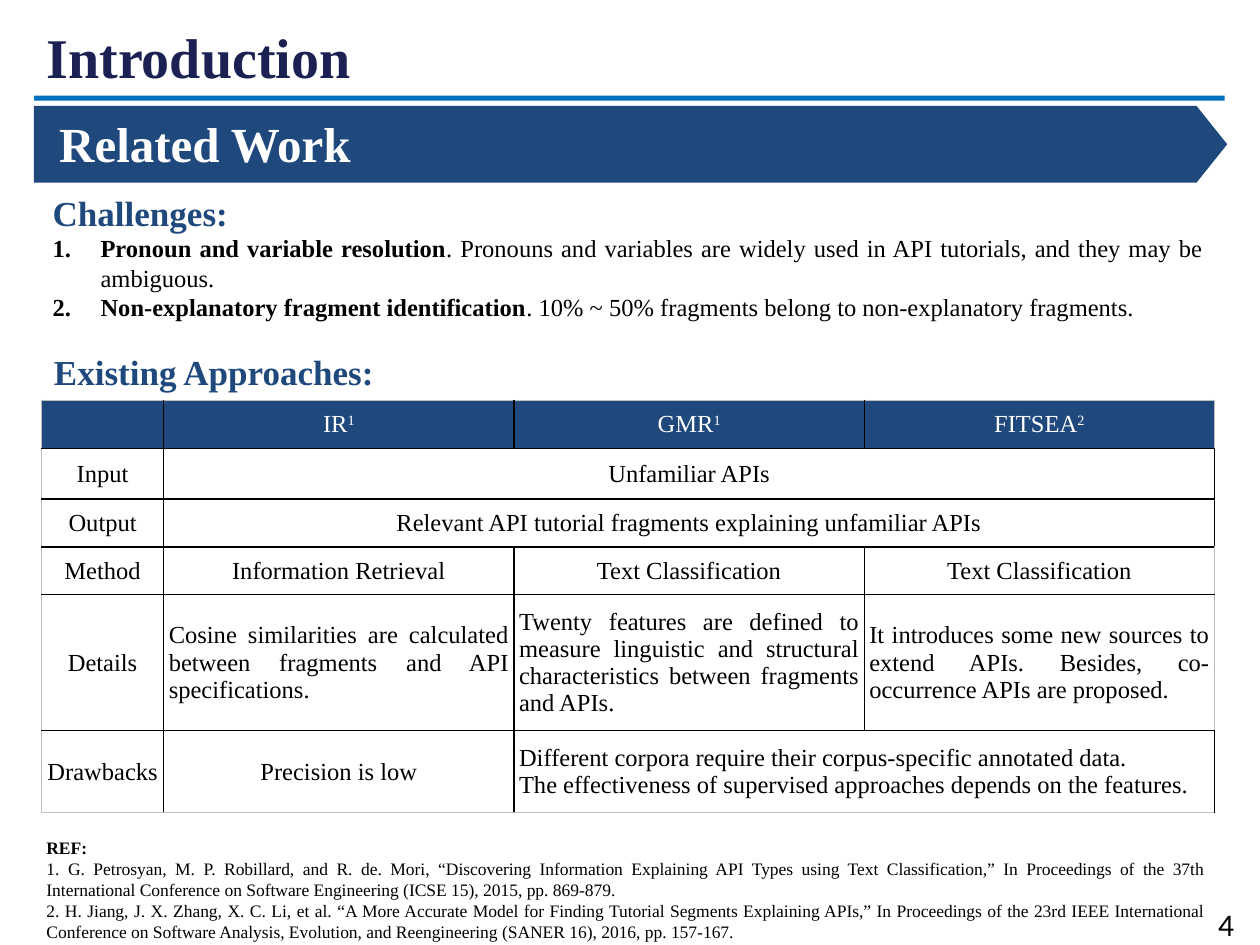
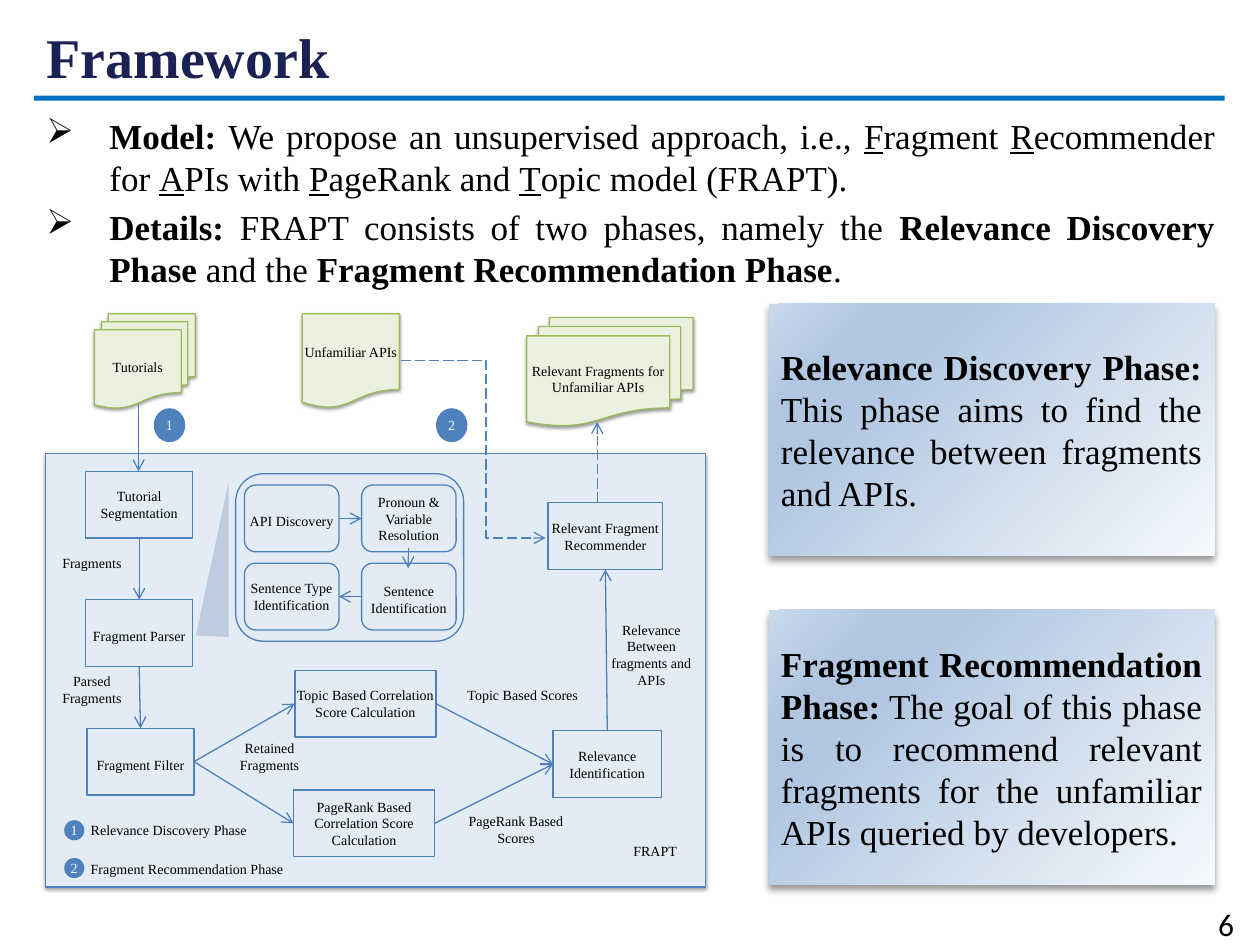
from pptx import Presentation
from pptx.dml.color import RGBColor
from pptx.enum.dml import MSO_LINE
from pptx.enum.shapes import MSO_CONNECTOR, MSO_SHAPE
from pptx.enum.text import MSO_ANCHOR, PP_ALIGN
from pptx.oxml import parse_xml
from pptx.oxml.ns import nsdecls, qn
from pptx.util import Inches, Pt
from lxml import etree

FONT = "Times New Roman"
NAVY, DEEP, RULE = "1B2153", "1F497D", "0070C0"
BLUE, PALE, GREEN, LEAF = "4F81BD", "E3EBF5", "9BBB59", "EBF1DE"
BLACK, WHITE, GREY = "000000", "FFFFFF", "BFBFBF"
LEFT, MID, JUST = PP_ALIGN.LEFT, PP_ALIGN.CENTER, PP_ALIGN.JUSTIFY
RECT, OVAL, ALT = MSO_SHAPE.RECTANGLE, MSO_SHAPE.OVAL, MSO_SHAPE.FLOWCHART_ALTERNATE_PROCESS
DOC, MULTI = MSO_SHAPE.FLOWCHART_DOCUMENT, MSO_SHAPE.FLOWCHART_MULTIDOCUMENT
TOP, WEST, BASE, EAST = range(4)

# Markup: *bold*, _underlined_, ^raised^
CHALLENGES = [
    "*Pronoun and variable resolution*. Pronouns and variables are widely used in API tutorials, and they may be ambiguous.",
    "*Non-explanatory fragment identification*. 10% ~ 50% fragments belong to non-explanatory fragments.",
]
COLS = [0.97, 2.78, 2.78, 2.78]
ROWS = [0.38, 0.4, 0.38, 0.38, 1.08, 0.65]
GRID = [
    ["", "IR^1^", "GMR^1^", "FITSEA^2^"],
    ["Input", "Unfamiliar APIs"],
    ["Output", "Relevant API tutorial fragments explaining unfamiliar APIs"],
    ["Method", "Information Retrieval", "Text Classification", "Text Classification"],
    ["Details",
     "Cosine similarities are calculated between fragments and API specifications.",
     "Twenty features are defined to measure linguistic and structural characteristics between fragments and APIs.",
     "It introduces some new sources to extend APIs. Besides, co-occurrence APIs are proposed."],
    ["Drawbacks", "Precision is low",
     "Different corpora require their corpus-specific annotated data.\n"
     "The effectiveness of supervised approaches depends on the features."],
]
REFS = [
    "1. G. Petrosyan, M. P. Robillard, and R. de. Mori, “Discovering Information Explaining API Types using Text Classification,” In Proceedings of the 37th International Conference on Software Engineering (ICSE 15), 2015, pp. 869-879.",
    "2. H. Jiang, J. X. Zhang, X. C. Li, et al. “A More Accurate Model for Finding Tutorial Segments Explaining APIs,” In Proceedings of the 23rd IEEE International Conference on Software Analysis, Evolution, and Reengineering (SANER 16), 2016, pp. 157-167.",
]
POINTS = [
    "*Model: *We propose an unsupervised approach, i.e., _F_ragment _R_ecommender for _A_PIs with _P_ageRank and _T_opic model (FRAPT).",
    "*Details: *FRAPT consists of two phases, namely the *Relevance Discovery Phase* and the *Fragment Recommendation Phase*.",
]
CARDS = [
    ((6.1, 2.41, 3.54, 2), "*Relevance Discovery Phase:* This phase aims to find the relevance between fragments and APIs."),
    ((6.1, 4.84, 3.54, 2.18), "*Fragment Recommendation Phase:* The goal of this phase is to recommend relevant fragments for the unfamiliar APIs queried by developers."),
]
DOCS = {
    "Tutorials": (MULTI, (0.75, 2.49, 0.8, 0.75)),
    "Unfamiliar APIs": (DOC, (2.4, 2.49, 0.77, 0.75)),
    "Relevant Fragments for Unfamiliar APIs": (MULTI, (4.18, 2.52, 1.32, 0.86)),
}
HIGH = 0.53
STEPS = {
    "Tutorial Segmentation": (RECT, 0.68, 3.74, 0.85, 0),
    "Fragment Parser": (RECT, 0.68, 4.76, 0.85, 0.04),
    "Fragment Filter": (RECT, 0.69, 5.78, 0.85, 0.05),
    "Topic Based Correlation Score Calculation": (RECT, 2.34, 5.32, 1.12, 0),
    "PageRank Based Correlation Score Calculation": (RECT, 2.33, 6.27, 1.12, 0),
    "Relevance Identification": (RECT, 4.39, 5.8, 0.86, 0),
    "Relevant Fragment Recommender": (RECT, 4.35, 3.99, 0.91, 0),
    "API Discovery": (ALT, 1.94, 3.85, 0.75, 0.04),
    "Pronoun & Variable Resolution": (ALT, 2.87, 3.85, 0.75, 0),
    "Sentence Identification": (ALT, 2.87, 4.47, 0.75, 0.04),
    "Sentence Type Identification": (ALT, 1.94, 4.47, 0.75, 0),
}
LINKS = [
    ("Tutorial Segmentation", BASE, "Fragment Parser", TOP),
    ("Fragment Parser", BASE, "Fragment Filter", TOP),
    ("Fragment Filter", EAST, "Topic Based Correlation Score Calculation", WEST),
    ("Fragment Filter", EAST, "PageRank Based Correlation Score Calculation", WEST),
    ("Topic Based Correlation Score Calculation", EAST, "Relevance Identification", WEST),
    ("PageRank Based Correlation Score Calculation", EAST, "Relevance Identification", WEST),
    ("Relevance Identification", TOP, "Relevant Fragment Recommender", BASE),
    ("API Discovery", EAST, "Pronoun & Variable Resolution", WEST),
    ("Sentence Identification", WEST, "Sentence Type Identification", EAST),
]
LABELS = [
    ("Relevance Between fragments and APIs", (4.82, 4.93, 0.7, 0.75), MID),
    ("Topic Based Scores", (3.63, 5.45, 1.04, 0.38), MID),
    ("PageRank Based Scores", (3.62, 6.45, 0.95, 0.38), MID),
    ("Retained Fragments", (1.72, 5.87, 0.84, 0.37), MID),
    ("Fragments", (0.35, 4.4, 0.76, 0.37), MID),
    ("Parsed\nFragments", (0.35, 5.34, 0.76, 0.37), MID),
    ("FRAPT", (4.76, 6.69, 0.88, 0.38), MID),
    ("Relevance Discovery Phase", (0.72, 6.52, 1.61, 0.27), LEFT),
    ("Fragment Recommendation Phase", (0.72, 6.83, 1.76, 0.27), LEFT),
]
MARKS = [
    ("1", (1.22, 3.24, 0.25, 0.27)), ("2", (3.46, 3.24, 0.25, 0.27)),
    ("1", (0.51, 6.51, 0.16, 0.16)), ("2", (0.51, 6.81, 0.16, 0.16)),
]


def rgb(tone):
    return RGBColor.from_string(tone)


def put(slide, kind, at, fill=None, line=None):
    box = [Inches(n) for n in at]
    if kind is None:
        return slide.shapes.add_textbox(*box)
    shape = slide.shapes.add_shape(kind, *box)
    shape.shadow.inherit = False
    if fill:
        shape.fill.solid()
        shape.fill.fore_color.rgb = rgb(fill)
    else:
        shape.fill.background()
    if line:
        shape.line.color.rgb = rgb(line)
        shape.line.width = Pt(0.75)
    else:
        shape.line.fill.background()
    return shape


def shade(shape, blur, gap):
    old = shape._element.spPr.find(qn("a:effectLst"))
    new = parse_xml(
        f'<a:effectLst {nsdecls("a")}><a:outerShdw blurRad="{Pt(blur)}" dist="{Pt(gap)}" dir="5400000" '
        f'rotWithShape="0"><a:srgbClr val="{BLACK}"><a:alpha val="40000"/></a:srgbClr>'
        '</a:outerShdw></a:effectLst>')
    old.getparent().replace(old, new)


def pieces(text):
    for i, bold in enumerate(text.split("*")):
        for j, under in enumerate(bold.split("_")):
            for k, part in enumerate(under.split("^")):
                if part:
                    yield part, i % 2 == 1, j % 2 == 1, k % 2 == 1


def write(frame, lines, size, tone=BLACK, align=LEFT, font=FONT):
    frame.word_wrap = True
    added = []
    for text in lines:
        para = frame.add_paragraph() if frame.text else frame.paragraphs[0]
        para.alignment = align
        for part, bold, under, raised in pieces(text):
            run = para.add_run()
            run.text = part
            face = run.font
            face.size, face.name, face.bold, face.underline = Pt(size), font, bold, under
            face.color.rgb = rgb(tone)
            if raised:
                run._r.get_or_add_rPr().set("baseline", "30000")
        added.append(para)
    return added


def inset(frame, top=0, anchor=MSO_ANCHOR.MIDDLE):
    frame.margin_left = frame.margin_right = frame.margin_bottom = 0
    frame.margin_top = Inches(top)
    frame.vertical_anchor = anchor


def bullet(para, indent, tag, **attrs):
    props = para._p.get_or_add_pPr()
    props.set("marL", str(Inches(indent)))
    props.set("indent", str(-Inches(indent)))
    etree.SubElement(props, qn(tag), attrs)


def start(deck, title, number):
    slide = deck.slides.add_slide(deck.slide_layouts[6])
    put(slide, RECT, (0.27, 0.76, 9.45, 0.04), RULE)
    write(put(slide, None, (9.57, 7.13, 0.71, 0.4)).text_frame, [number], 18, font="Calibri")
    frame = put(slide, None, (0.27, 0.13, 8.11, 0.63)).text_frame
    frame.vertical_anchor = MSO_ANCHOR.MIDDLE
    write(frame, [f"*{title}*"], 32, NAVY)
    return slide


def edge(cell, side, tone):
    cell._tc.get_or_add_tcPr().append(parse_xml(
        f'<a:{side} {nsdecls("a")} w="12700"><a:solidFill><a:srgbClr val="{tone}"/></a:solidFill></a:{side}>'))


def compare(slide):
    frame = slide.shapes.add_table(len(ROWS), len(COLS), Inches(0.33), Inches(3.18),
                                   Inches(sum(COLS)), Inches(sum(ROWS)))
    table = frame.table
    table.first_row = table.horz_banding = False
    for col, width in zip(table.columns, COLS):
        col.width = Inches(width)
    for row, height in zip(table.rows, ROWS):
        row.height = Inches(height)
    last, end = len(ROWS) - 1, len(COLS) - 1
    for r, texts in enumerate(GRID):
        for c in range(len(COLS)):
            cell = table.cell(r, c)
            for side, outer in (("lnL", c == 0), ("lnR", c == end), ("lnT", r == 0), ("lnB", r == last)):
                edge(cell, side, GREY if outer else BLACK)
            cell.fill.solid()
            cell.fill.fore_color.rgb = rgb(WHITE if r else DEEP)
            cell.margin_left = cell.margin_right = Inches(0.04)
            cell.margin_top = cell.margin_bottom = 0
            cell.vertical_anchor = MSO_ANCHOR.MIDDLE
        if len(texts) < len(COLS):
            table.cell(r, len(texts) - 1).merge(table.cell(r, end))
        for c, text in enumerate(texts):
            align = JUST if c and len(text) > 60 else MID
            write(table.cell(r, c).text_frame, text.split("\n"), 14, BLACK if r else WHITE, align)


def related(deck):
    slide = start(deck, "Introduction", "4")
    put(slide, MSO_SHAPE.PENTAGON, (0.27, 0.84, 9.47, 0.61), DEEP).adjustments[0] = 0.4
    frame = put(slide, None, (0.47, 0.93, 8.38, 0.45)).text_frame
    inset(frame)
    write(frame, ["*Related Work*"], 28, WHITE)[0].line_spacing = 0.95
    frame = put(slide, None, (0.32, 1.47, 9.33, 1.14)).text_frame
    write(frame, ["*Challenges:*"], 20, DEEP)
    for para in write(frame, CHALLENGES, 14, align=JUST):
        bullet(para, 0.38, "a:buAutoNum", type="arabicPeriod")
    write(put(slide, None, (0.33, 2.73, 9.33, 0.44)).text_frame, ["*Existing Approaches:*"], 20, DEEP)
    compare(slide)
    frame = put(slide, None, (0.27, 6.59, 9.38, 0.94)).text_frame
    write(frame, ["*REF:*"], 10)
    write(frame, REFS, 10, align=JUST)


def arrow(slide, ends, kind=MSO_CONNECTOR.STRAIGHT, dash=False):
    wire = slide.shapes.add_connector(kind, *[Inches(n) for n in ends])
    wire.line.color.rgb = rgb(BLUE)
    wire.line.width = Pt(0.75)
    if dash:
        wire.line.dash_style = MSO_LINE.LONG_DASH
    etree.SubElement(wire.line._get_or_add_ln(), qn("a:tailEnd"), type="arrow")
    etree.SubElement(wire._element.spPr, qn("a:effectLst"))
    return wire


def flow(slide):
    shade(put(slide, RECT, (0.36, 3.6, 5.24, 3.44), PALE, BLUE), 2, 1)
    put(slide, MSO_SHAPE.ROUNDED_RECTANGLE, (1.87, 3.76, 1.81, 1.33), None, BLUE)
    wedge = put(slide, MSO_SHAPE.ISOSCELES_TRIANGLE, (1.07, 4.31, 1.23, 0.26), "376092")
    wedge.rotation, wedge.adjustments[0] = 270, 0.01
    tint = wedge._element.spPr.find(".//" + qn("a:srgbClr"))
    etree.SubElement(tint, qn("a:alpha"), val="22000")

    nodes = {}
    for name, (kind, at) in DOCS.items():
        nodes[name] = put(slide, kind, at, LEAF, GREEN)
        shade(nodes[name], 2, 1)
        inset(nodes[name].text_frame)
    for name, (kind, left, top, width, drop) in STEPS.items():
        nodes[name] = put(slide, kind, (left, top, width, HIGH), None, BLUE)
        inset(nodes[name].text_frame, drop)
    for name, node in nodes.items():
        write(node.text_frame, [name], 8, align=MID)

    for tail, out, head, into in LINKS:
        wire = arrow(slide, (0, 0, 0, 0))
        wire.begin_connect(nodes[tail], out)
        wire.end_connect(nodes[head], into)
    arrow(slide, (1.1, 3.21, 1.1, 3.74))
    arrow(slide, (3.24, 4.35, 3.24, 4.51))
    arrow(slide, (4.74, 3.99, 4.74, 3.35), dash=True)
    bent = arrow(slide, (3.18, 2.86, 4.33, 4.27), MSO_CONNECTOR.ELBOW, True)
    shifts = bent._element.spPr.find(".//" + qn("a:avLst"))
    etree.SubElement(shifts, qn("a:gd"), name="adj1", fmla="val 59000")

    for text, at, align in LABELS:
        frame = put(slide, None, at).text_frame
        inset(frame, anchor=MSO_ANCHOR.TOP)
        write(frame, text.split("\n"), 8, align=align)
    for text, at in MARKS:
        frame = put(slide, OVAL, at, BLUE).text_frame
        inset(frame)
        write(frame, [text], 8, WHITE, MID)


def glow(shape):
    stops = [(0, "F6F9FC"), (74, "B0C6E1"), (83, "B0C6E1"), (100, "CAD9EB")]
    marks = "".join(f'<a:gs pos="{at}000"><a:srgbClr val="{tone}"/></a:gs>' for at, tone in stops)
    old = shape._element.spPr.find(qn("a:noFill"))
    old.getparent().replace(old, parse_xml(
        f'<a:gradFill {nsdecls("a")} rotWithShape="1"><a:gsLst>{marks}</a:gsLst>'
        '<a:path path="circle"><a:fillToRect l="100000" t="100000"/></a:path></a:gradFill>'))


def framework(deck):
    slide = start(deck, "Framework", "6")
    flow(slide)
    frame = put(slide, None, (0.27, 0.86, 9.47, 1.9)).text_frame
    for para in write(frame, POINTS, 20, align=JUST):
        para.space_before = Pt(4)
        bullet(para, 0.5, "a:buChar", char="➢")
    for at, text in CARDS:
        card = put(slide, RECT, at)
        glow(card)
        shade(card, 4, 3)
        card.text_frame.vertical_anchor = MSO_ANCHOR.MIDDLE
        write(card.text_frame, [text], 20, align=JUST)


def main():
    deck = Presentation()
    deck.slide_width, deck.slide_height = Inches(10), Inches(7.5)
    related(deck)
    framework(deck)
    deck.save("out.pptx")


if __name__ == "__main__":
    main()
